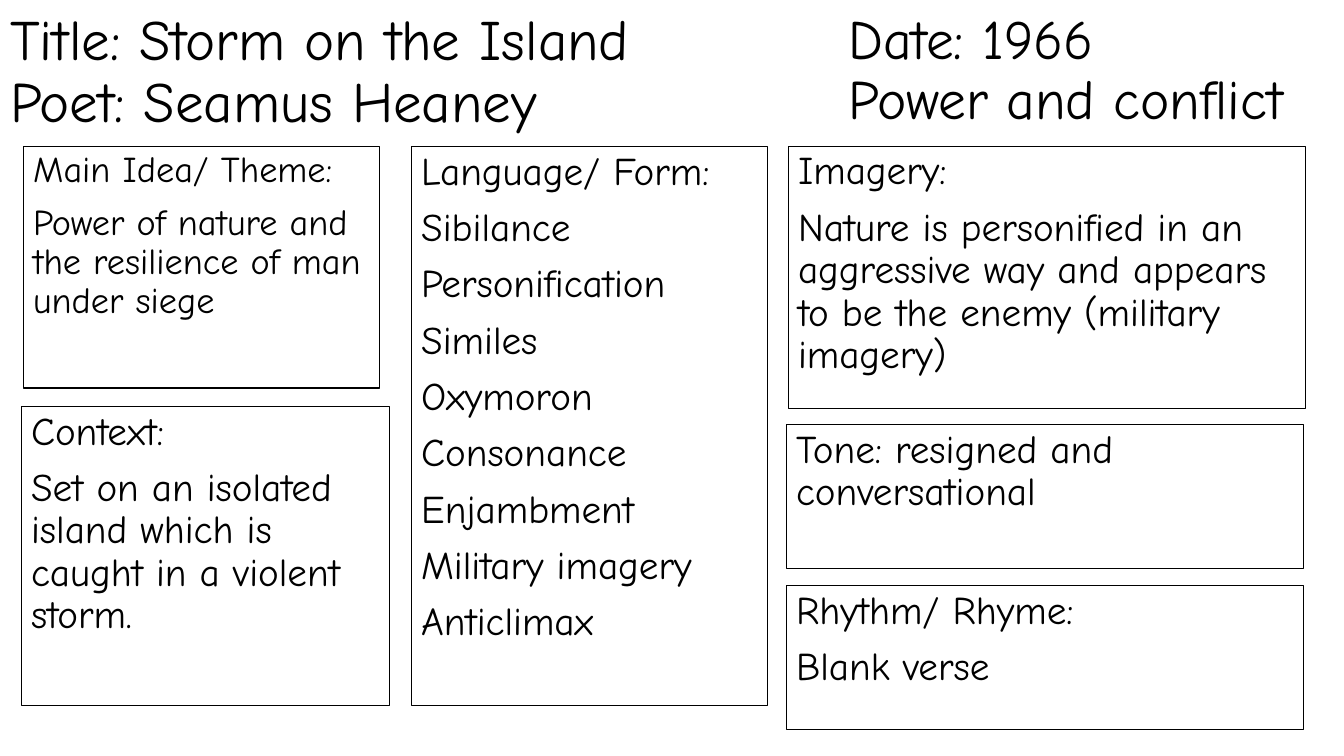
from pptx import Presentation
from pptx.dml.color import RGBColor
from pptx.enum import text
from pptx.util import Pt

# Content
FONT, BLACK = "Comic Neue", "000000"
POEM = ["Title: Storm on the Island\vPoet: Seamus Heaney"]
DATE = ["Date: 1966\vPower and conflict"]
THEME = ["Main Idea/ Theme:",
         "Power of nature and the resilience of man under siege"]
CONTEXT = ["Context:",
           "Set on an isolated island which is caught in a violent storm."]
LANGUAGE = ["Language/ Form:", "Sibilance", "Personification", "Similes",
            "Oxymoron", "Consonance", "Enjambment", "Military imagery",
            "Anticlimax"]
IMAGERY = ["Imagery:",
           "Nature is personified in an aggressive way and appears to be "
           "the enemy (military imagery)"]
TONE = ["Tone: resigned and conversational"]
RHYTHM = ["Rhythm/ Rhyme:", "Blank verse"]

# Layout, in points
TOP, BOTTOM = 104.4, 504
RIGHT_WIDTH = 369.4
NARROW = 254.2
SMALL_HEIGHT = 103
CONTEXT_TOP, TONE_TOP, RHYTHM_TOP = 290.2, 303.1, 418.3

# (lines, left, top, width, height, text size)
PANELS = [
    (THEME, 16.6, TOP, NARROW, 172.8, 25.9),
    (CONTEXT, 15.1, CONTEXT_TOP, 263.5, BOTTOM - CONTEXT_TOP, 28),
    (LANGUAGE, 293.8, TOP, NARROW, BOTTOM - TOP, 28),
    (IMAGERY, 563, TOP, RIGHT_WIDTH, 187.2, 28),
    (TONE, 561.6, TONE_TOP, RIGHT_WIDTH, SMALL_HEIGHT, 28),
    (RHYTHM, 561.6, RHYTHM_TOP, RIGHT_WIDTH, SMALL_HEIGHT, 28),
]


def colour(value):
    return RGBColor.from_string(value)


def write(box, lines, size, anchor):
    frame = box.text_frame
    frame.text = "\n".join(lines)
    frame.word_wrap = True
    frame.auto_size = text.MSO_AUTO_SIZE.NONE
    frame.vertical_anchor = anchor
    for index, line in enumerate(frame.paragraphs):
        line.alignment = text.PP_ALIGN.LEFT
        line.line_spacing = 0.9
        line.space_before = Pt(10 if index else 0)
        line.font.name = FONT
        line.font.size = Pt(size)
        line.font.color.rgb = colour(BLACK)


deck = Presentation()
deck.slide_width, deck.slide_height = Pt(960), Pt(540)
slide = deck.slides.add_slide(deck.slide_layouts[5])

# Headings
heading = slide.shapes.title
heading.left, heading.top = Pt(0), Pt(0)
heading.width, heading.height = Pt(521.3), Pt(TOP)
write(heading, POEM, 40.7, text.MSO_ANCHOR.MIDDLE)

date = slide.shapes.add_textbox(Pt(599), Pt(10.1), Pt(360.7), Pt(82.1))
write(date, DATE, 39.6, text.MSO_ANCHOR.MIDDLE)

# Outlined note panels
for lines, left, top, width, height, size in PANELS:
    panel = slide.shapes.add_textbox(Pt(left), Pt(top), Pt(width), Pt(height))
    panel.line.color.rgb = colour(BLACK)
    panel.line.width = Pt(0.75)
    write(panel, lines, size, text.MSO_ANCHOR.TOP)

deck.save("out.pptx")
